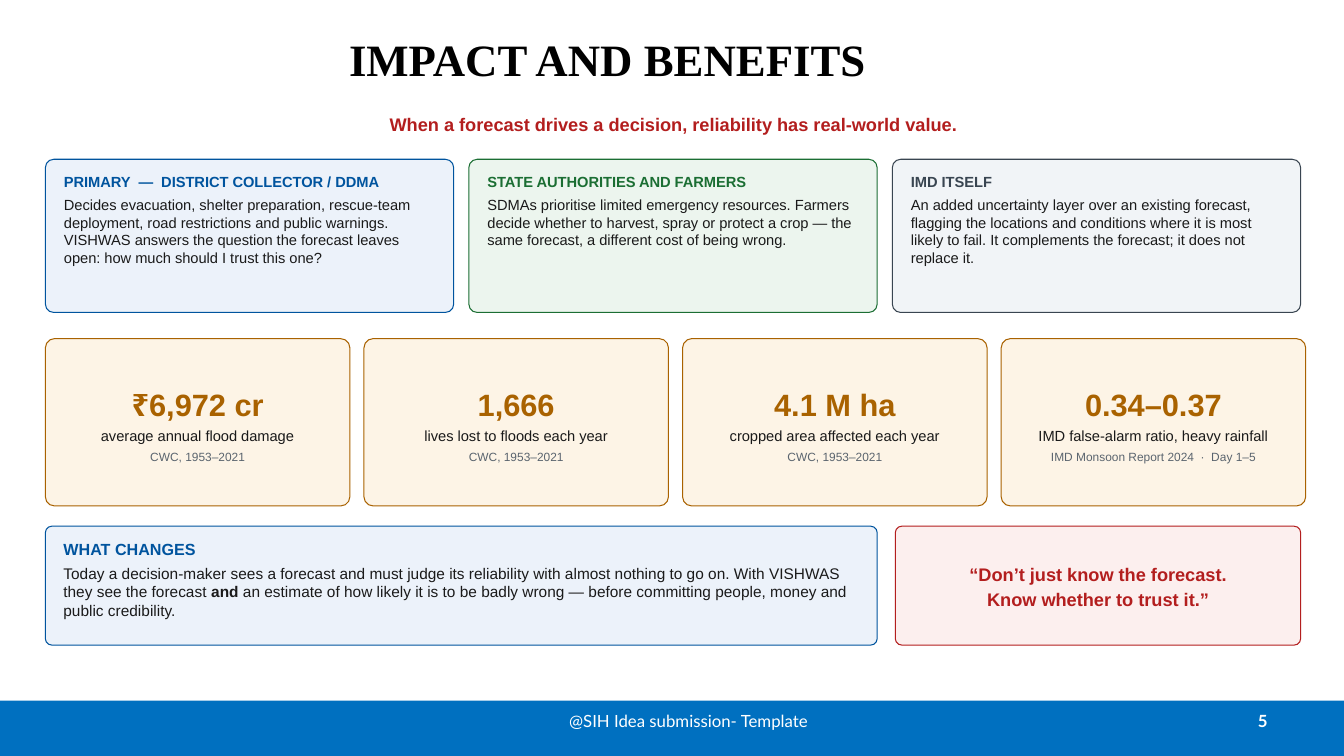
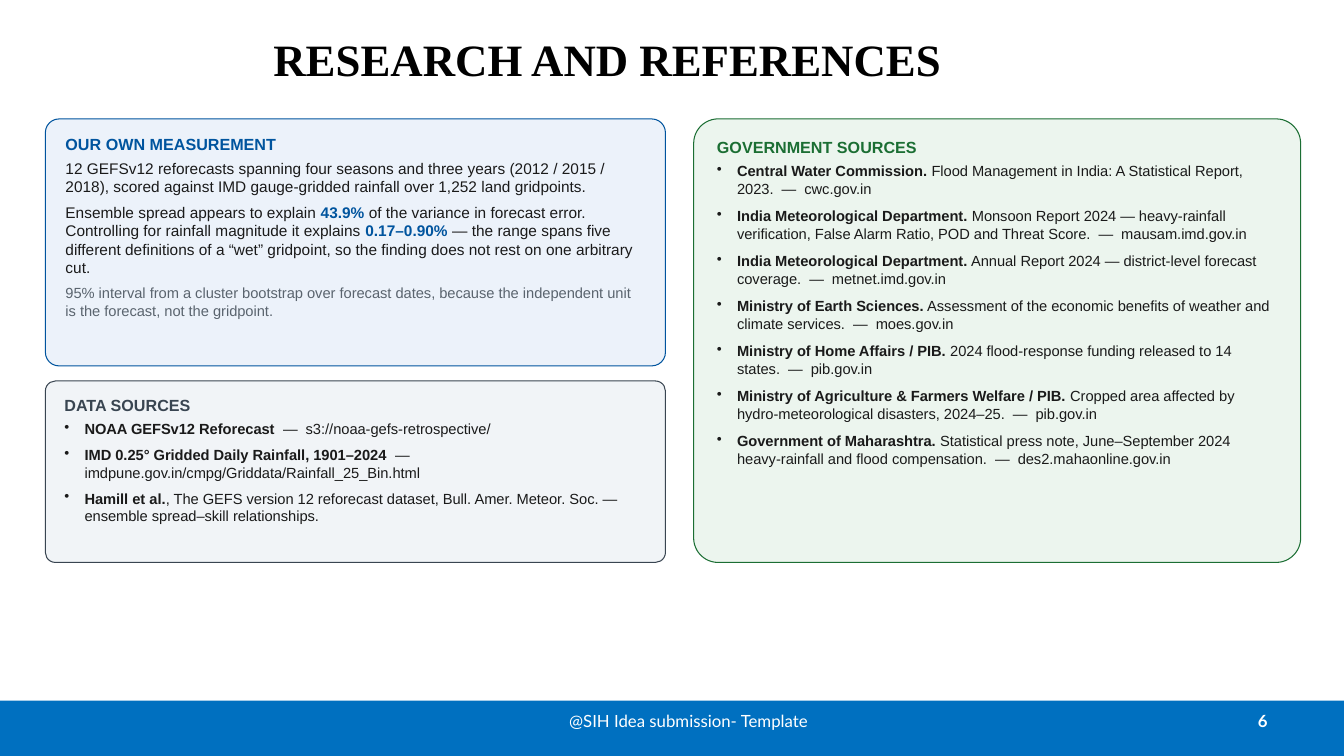
from lxml.etree import SubElement
from pptx import Presentation
from pptx.dml.color import RGBColor
from pptx.enum.shapes import MSO_SHAPE
from pptx.enum.text import MSO_ANCHOR, PP_ALIGN
from pptx.oxml.ns import qn
from pptx.util import Inches, Pt

BLUE, GREEN, SLATE = "00549E", "1B6E33", "394551"
AMBER, RED = "A96200", "B31E1E"
INK, GREY, WHITE, BLACK, BAND = "1A1A1A", "5A646E", "FFFFFF", "000000", "0070C0"
TINTS = {BLUE: "ECF2FA", GREEN: "ECF5EE", SLATE: "F1F4F7", AMBER: "FDF4E6", RED: "FCEFEE"}

LEFT = 0.45
LEFT_ALIGN, CENTER, RIGHT = PP_ALIGN.LEFT, PP_ALIGN.CENTER, PP_ALIGN.RIGHT
TOP, MIDDLE = MSO_ANCHOR.TOP, MSO_ANCHOR.MIDDLE


def write(box, paragraphs, align=LEFT_ALIGN, anchor=TOP, insets=None):
    """Fill a shape with (spans, format) paragraphs; a span is text or (text, changes)."""
    frame = box.text_frame
    frame.word_wrap = True
    frame.vertical_anchor = anchor
    if insets:
        for side, inset in zip(("left", "top", "right", "bottom"), insets):
            setattr(frame, f"margin_{side}", Inches(inset))
    for index, (spans, style) in enumerate(paragraphs):
        para = frame.paragraphs[0] if index == 0 else frame.add_paragraph()
        if style.get("bullet"):
            properties = para._p.get_or_add_pPr()
            properties.set("marL", str(Inches(0.2)))
            properties.set("indent", str(-Inches(0.2)))
            SubElement(properties, qn("a:buChar")).set("char", "•")
        para.alignment = align
        para.space_after = Pt(style.get("after", 0))
        for span in spans:
            text, changes = (span, {}) if isinstance(span, str) else span
            look = {"font": "Arial", "color": INK, "bold": False} | style | changes
            run = para.add_run()
            run.text = text
            values = {"name": look["font"], "size": Pt(look["size"]), "bold": look["bold"]}
            for name, value in values.items():
                setattr(run.font, name, value)
            run.font.color.rgb = RGBColor.from_string(look["color"])


def add_card(page, place, color, paragraphs, align=LEFT_ALIGN, anchor=TOP, top_inset=0.11):
    card = page.shapes.add_shape(MSO_SHAPE.ROUNDED_RECTANGLE, *map(Inches, place))
    card.adjustments[0] = 0.055
    card.shadow.inherit = False
    card.fill.solid()
    card.fill.fore_color.rgb = RGBColor.from_string(TINTS[color])
    card.line.color.rgb = RGBColor.from_string(color)
    card.line.width = Pt(0.75)
    write(card, paragraphs, align, anchor, (0.16, top_inset, 0.16, 0.09))


deck = Presentation()
deck.slide_width, deck.slide_height = Inches(13.33), Inches(7.5)

# Shared title, band and footer
pages = []
for number, title in ((5, "IMPACT AND BENEFITS"), (6, "RESEARCH AND REFERENCES")):
    page = deck.slides.add_slide(deck.slide_layouts[5])
    pages.append(page)
    heading = page.shapes.title
    heading.left, heading.top, heading.width, heading.height = map(Inches, (1.45, 0.06, 9.15, 1.05))
    title_style = {"font": "Times New Roman", "size": 32, "color": BLACK, "bold": True}
    write(heading, [([title], title_style)], CENTER, MIDDLE)

    band = page.shapes.add_shape(MSO_SHAPE.RECTANGLE, 0, Inches(6.95), deck.slide_width, Inches(0.55))
    band.shadow.inherit = False
    band.fill.solid()
    band.fill.fore_color.rgb = RGBColor.from_string(BAND)
    band.line.fill.background()

    for text, left, width, align, bold in (
        (str(number), 9.56, 3.11, RIGHT, True),
        ("@SIH Idea submission- Template", 5.08, 3.5, CENTER, False),
    ):
        footer = page.shapes.add_textbox(*map(Inches, (left, 6.95, width, 0.4)))
        footer_style = {"font": "Lato", "size": 12, "color": WHITE, "bold": bold}
        write(footer, [([text], footer_style)], align, MIDDLE)

impact, references = pages

# Impact and benefits
tagline = impact.shapes.add_textbox(*map(Inches, (LEFT, 1.12, 12.45, 0.34)))
slogan = {"size": 13, "color": RED, "bold": True, "after": 5}
write(tagline, [(["When a forecast drives a decision, reliability has real-world value."], slogan)],
      CENTER, insets=(0, 0, 0, 0))

audiences = (
    (BLUE, "PRIMARY  —  DISTRICT COLLECTOR / DDMA",
     "Decides evacuation, shelter preparation, rescue-team deployment, road restrictions and public "
     "warnings. VISHWAS answers the question the forecast leaves open: how much should I trust this one?"),
    (GREEN, "STATE AUTHORITIES AND FARMERS",
     "SDMAs prioritise limited emergency resources. Farmers decide whether to harvest, spray or protect "
     "a crop — the same forecast, a different cost of being wrong."),
    (SLATE, "IMD ITSELF",
     "An added uncertainty layer over an existing forecast, flagging the locations and conditions where "
     "it is most likely to fail. It complements the forecast; it does not replace it."),
)
audience_width, audience_gap = 4.05, 0.15
for column, (color, name, benefit) in enumerate(audiences):
    left = LEFT + column * (audience_width + audience_gap)
    add_card(impact, (left, 1.58, audience_width, 1.52), color, [
        ([name], {"size": 10.5, "color": color, "bold": True, "after": 4}),
        ([benefit], {"size": 10.5, "after": 5}),
    ])

statistics = (
    ("₹6,972 cr", "average annual flood damage", "CWC, 1953–2021"),
    ("1,666", "lives lost to floods each year", "CWC, 1953–2021"),
    ("4.1 M ha", "cropped area affected each year", "CWC, 1953–2021"),
    ("0.34–0.37", "IMD false-alarm ratio, heavy rainfall", "IMD Monsoon Report 2024  ·  Day 1–5"),
)
statistic_width, statistic_gap = 3.02, 0.14
for column, (figure, meaning, source) in enumerate(statistics):
    left = LEFT + column * (statistic_width + statistic_gap)
    add_card(impact, (left, 3.36, statistic_width, 1.66), AMBER, [
        ([figure], {"size": 22, "color": AMBER, "bold": True, "after": 3}),
        ([meaning], {"size": 10.5, "after": 4}),
        ([source], {"size": 8.5, "color": GREY, "after": 5}),
    ], CENTER, MIDDLE, top_inset=0.14)

card_heading = {"size": 11.5, "bold": True, "after": 4}
body = {"size": 11, "after": 5}
strong = {"bold": True}
add_card(impact, (LEFT, 5.22, 8.25, 1.18), BLUE, [
    (["WHAT CHANGES"], card_heading | {"color": BLUE}),
    (["Today a decision-maker sees a forecast and must judge its reliability with almost nothing to go "
      "on. With VISHWAS they see the forecast ", ("and", strong),
      " an estimate of how likely it is to be badly wrong — before committing people, money and "
      "public credibility."], body),
])
add_card(impact, (8.88, 5.22, 4.02, 1.18), RED, [
    (["“Don’t just know the forecast."], slogan | {"after": 2}),
    (["Know whether to trust it.”"], slogan),
], CENTER, MIDDLE)

# Research and references
key_figure = {"color": BLUE, "bold": True}
add_card(references, (LEFT, 1.18, 6.15, 2.45), BLUE, [
    (["OUR OWN MEASUREMENT"], card_heading | {"color": BLUE}),
    (["12 GEFSv12 reforecasts spanning four seasons and three years (2012 / 2015 / 2018), scored "
      "against IMD gauge-gridded rainfall over 1,252 land gridpoints."], body),
    (["Ensemble spread appears to explain ", ("43.9%", key_figure),
      " of the variance in forecast error. Controlling for rainfall magnitude it explains ",
      ("0.17–0.90%", key_figure),
      " — the range spans five different definitions of a “wet” gridpoint, so the finding does not "
      "rest on one arbitrary cut."], body),
    (["95% interval from a cluster bootstrap over forecast dates, because the independent unit is the "
      "forecast, not the gridpoint."], {"size": 10.5, "color": GREY, "after": 5}),
])

data_sources = (
    ("NOAA GEFSv12 Reforecast", "  —  s3://noaa-gefs-retrospective/"),
    ("IMD 0.25° Gridded Daily Rainfall, 1901–2024",
     "  —  imdpune.gov.in/cmpg/Griddata/Rainfall_25_Bin.html"),
    ("Hamill et al.", ", The GEFS version 12 reforecast dataset, Bull. Amer. Meteor. Soc. — "
     "ensemble spread–skill relationships."),
)
government_sources = (
    ("Central Water Commission.",
     " Flood Management in India: A Statistical Report, 2023.  —  cwc.gov.in"),
    ("India Meteorological Department.",
     " Monsoon Report 2024 — heavy-rainfall verification, False Alarm Ratio, POD and Threat Score."
     "  —  mausam.imd.gov.in"),
    ("India Meteorological Department.",
     " Annual Report 2024 — district-level forecast coverage.  —  metnet.imd.gov.in"),
    ("Ministry of Earth Sciences.",
     " Assessment of the economic benefits of weather and climate services.  —  moes.gov.in"),
    ("Ministry of Home Affairs / PIB.",
     " 2024 flood-response funding released to 14 states.  —  pib.gov.in"),
    ("Ministry of Agriculture & Farmers Welfare / PIB.",
     " Cropped area affected by hydro-meteorological disasters, 2024–25.  —  pib.gov.in"),
    ("Government of Maharashtra.",
     " Statistical press note, June–September 2024 heavy-rainfall and flood compensation."
     "  —  des2.mahaonline.gov.in"),
)
for name, place, color, sources, after in (
    ("DATA SOURCES", (LEFT, 3.78, 6.15, 1.8), SLATE, data_sources, 6),
    ("GOVERNMENT SOURCES", (6.88, 1.18, 6.02, 4.4), GREEN, government_sources, 7),
):
    item = {"size": 10.5, "after": after, "bullet": True}
    add_card(references, place, color, [([name], card_heading | {"color": color})] + [
        ([(author, strong), detail], item) for author, detail in sources
    ])

deck.save("out.pptx")
